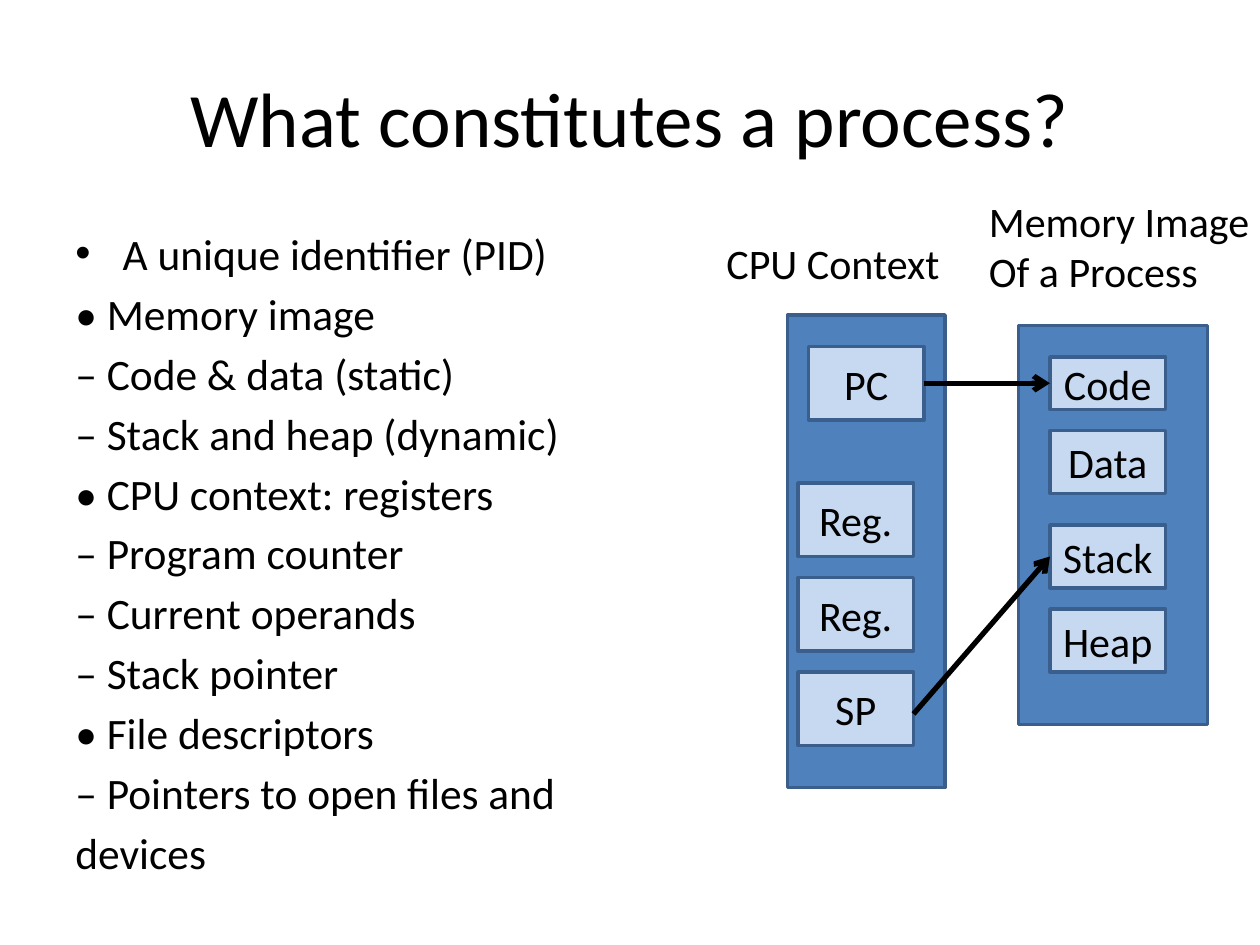
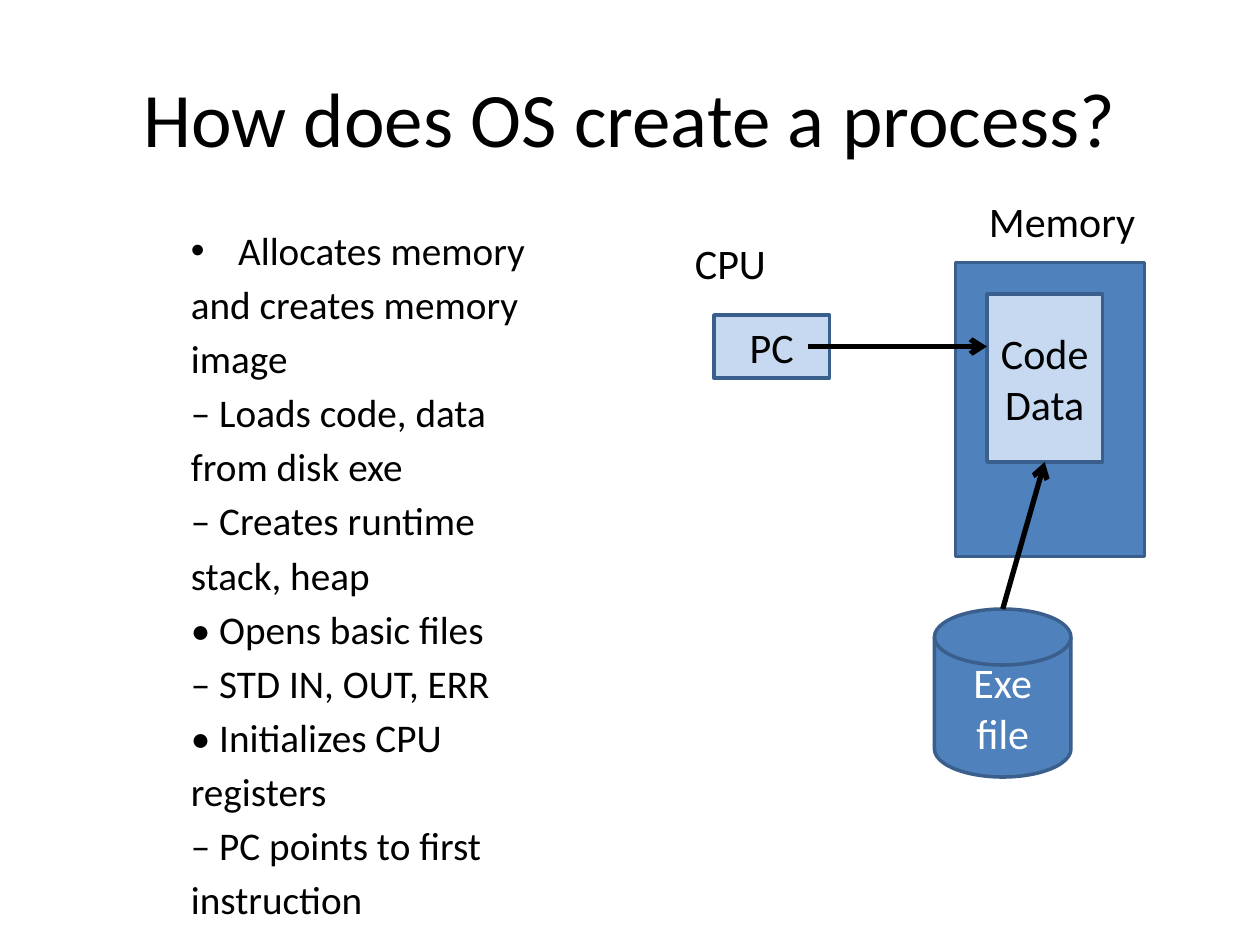
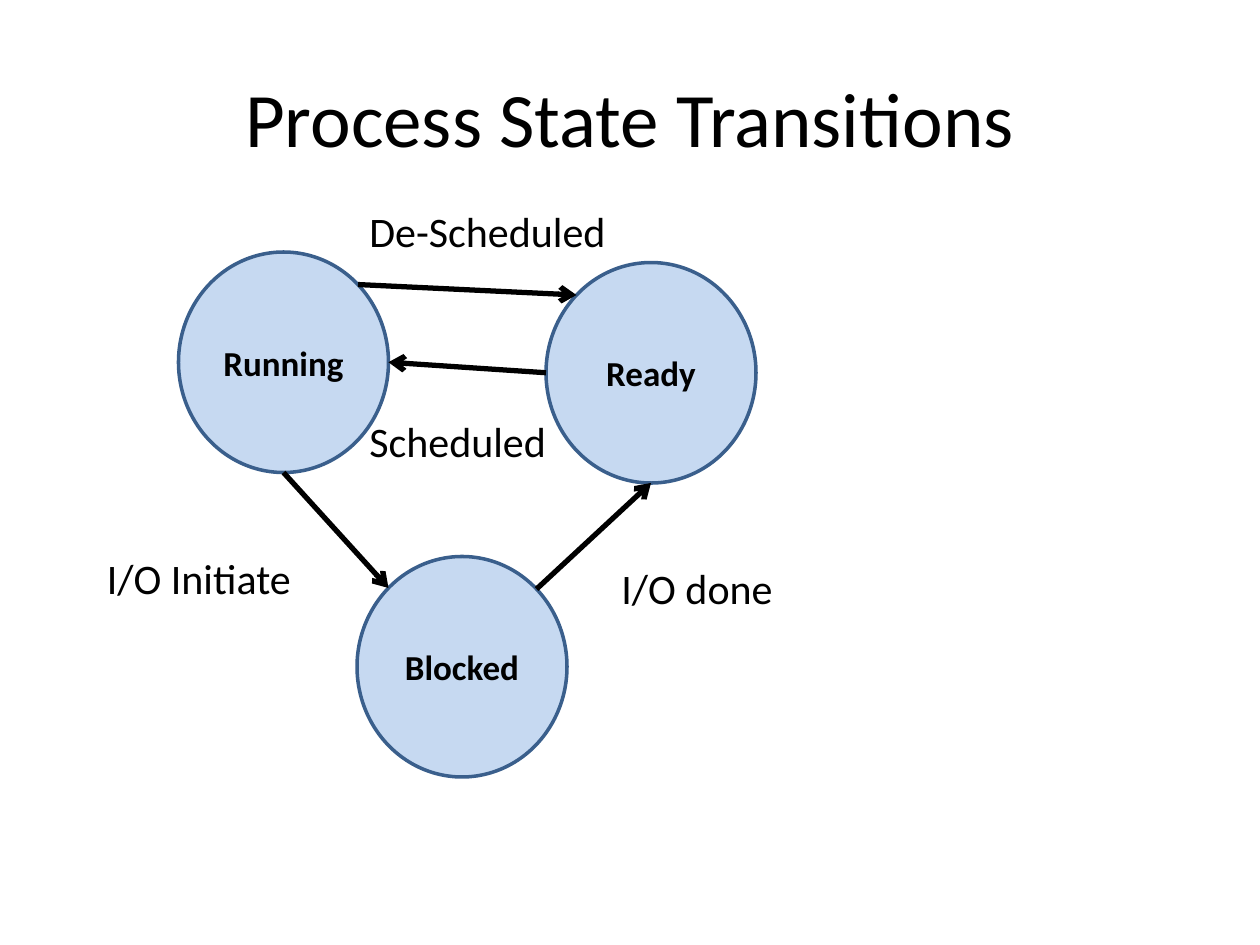
import pptx
import pptx.dml.color
import pptx.enum.shapes
import pptx.enum.text
import pptx.oxml
import pptx.oxml.ns
import pptx.util
from typing import Any, NamedTuple

RGB = pptx.dml.color.RGBColor
KIND = pptx.enum.shapes.MSO_SHAPE
ALIGN = pptx.enum.text.PP_ALIGN
ANCHOR = pptx.enum.text.MSO_ANCHOR
FIT = pptx.enum.text.MSO_AUTO_SIZE
Pt = pptx.util.Pt
qn = pptx.oxml.ns.qn

BLACK = RGB(0x00, 0x00, 0x00)
WHITE = RGB(0xFF, 0xFF, 0xFF)
BLUE = RGB(0x4F, 0x81, 0xBD)
PALE = RGB(0xC6, 0xD9, 0xF1)
EDGE = RGB(0x3A, 0x5F, 0x8C)

PX = 7620
WIDE, HIGH = 1200, 900
HANG = 45
FACE = "Calibri"

MID = {"vertical_anchor": ANCHOR.MIDDLE}
FREE = {"word_wrap": False, "auto_size": FIT.SHAPE_TO_FIT_TEXT}
WRAP = {"word_wrap": True, "auto_size": FIT.NONE}


class Area(NamedTuple):
    x: int
    y: int
    w: int
    h: int


class Box(NamedTuple):
    area: Area
    text: str = ""
    fill: RGB = PALE
    ink: RGB = BLACK
    kind: Any = KIND.RECTANGLE
    size: int = 24
    bold: bool = False


class Label(NamedTuple):
    area: Area
    text: str


class Arrow(NamedTuple):
    x: int
    y: int
    to_x: int
    to_y: int


class Body(NamedTuple):
    area: Area
    size: float
    lines: list[str]


class Page(NamedTuple):
    title: str
    items: list[Any]


HEAD = Area(60, 36, 1080, 150)


def cell(x: int, y: int, h: int, text: str) -> Box:
    return Box(Area(x, y, 110, h), text)


def state(x: int, y: int, text: str) -> Box:
    return Box(Area(x, y, 200, 210), text, kind=KIND.OVAL, size=20, bold=True)


def scale(nums: Any) -> list[int]:
    return [num * PX for num in nums]


def style(obj: Any, vals: dict[str, Any]) -> None:
    for key, val in vals.items():
        setattr(obj, key, val)


def write(frame: Any, text: str, size: float, ink: RGB = BLACK,
          bold: bool = False, align: Any = ALIGN.LEFT) -> None:
    frame.text = text
    for para in frame.paragraphs:
        para.alignment = align
        for run in para.runs:
            style(run.font, {"name": FACE, "size": Pt(size), "bold": bold})
            run.font.color.rgb = ink


def draw_box(slide: Any, box: Box) -> None:
    shape = slide.shapes.add_shape(box.kind, *scale(box.area))
    shape.shadow.inherit = False
    shape.fill.solid()
    shape.fill.fore_color.rgb = box.fill
    shape.line.color.rgb = EDGE
    shape.line.width = Pt(2)
    if box.text:
        style(shape.text_frame, MID)
        write(shape.text_frame, box.text, box.size, box.ink, box.bold, ALIGN.CENTER)


def draw_label(slide: Any, label: Label) -> None:
    frame = slide.shapes.add_textbox(*scale(label.area)).text_frame
    style(frame, FREE)
    write(frame, label.text, 24)


def draw_arrow(slide: Any, arrow: Arrow) -> None:
    line = slide.shapes.add_connector(
        pptx.enum.shapes.MSO_CONNECTOR.STRAIGHT, *scale(arrow))
    line.line.color.rgb = BLACK
    line.line.width = Pt(3)
    tail = pptx.oxml.parse_xml(f'<a:tailEnd {pptx.oxml.ns.nsdecls("a")} type="arrow"/>')
    line.line._get_or_add_ln().append(tail)
    props = line._element.spPr
    props.append(props.makeelement(qn("a:effectLst"), {}))


def draw_body(slide: Any, body: Body) -> None:
    frame = slide.shapes.add_textbox(*scale(body.area)).text_frame
    style(frame, WRAP)
    write(frame, "\n".join(body.lines), body.size)
    for para in frame.paragraphs:
        para.space_before = Pt(round(body.size * 0.18, 1))
        props = para._p.get_or_add_pPr()
        props.set("marL", str(HANG * PX))
        props.set("indent", str(-HANG * PX))
    first = frame.paragraphs[0]._p.get_or_add_pPr()
    first.append(first.makeelement(qn("a:buFont"), {"typeface": "Arial"}))
    first.append(first.makeelement(qn("a:buChar"), {"char": "•"}))


DRAW = {Box: draw_box, Label: draw_label, Arrow: draw_arrow, Body: draw_body}

PAGES = [
    Page("What constitutes a process?", [
        Body(Area(60, 210, 1080, 594), 24.8, [
            "A unique identifier (PID)",
            "• Memory image",
            "– Code & data (static)",
            "– Stack and heap (dynamic)",
            "• CPU context: registers",
            "– Program counter",
            "– Current operands",
            "– Stack pointer",
            "• File descriptors",
            "– Pointers to open files and",
            "devices",
        ]),
        Box(Area(970, 310, 180, 380), fill=BLUE),
        cell(1000, 340, 50, "Code"),
        cell(1000, 410, 60, "Data"),
        Label(Area(930, 180, 275, 109), "Memory Image\nOf a Process"),
        cell(1000, 500, 60, "Stack"),
        cell(1000, 580, 60, "Heap"),
        Box(Area(750, 300, 150, 450), fill=BLUE),
        cell(770, 330, 70, "PC"),
        *[cell(760, 460 + 90 * row, 70, name)
          for row, name in enumerate(["Reg.", "Reg.", "SP"])],
        Arrow(870, 680, 1000, 530),
        Label(Area(680, 220, 229, 60), "CPU Context"),
        Arrow(880, 365, 1000, 365),
    ]),
    Page("How does OS create a process?", [
        Body(Area(170, 210, 1030, 594), 22.4, [
            "Allocates memory",
            "and creates memory",
            "image",
            "– Loads code, data",
            "from disk exe",
            "– Creates runtime",
            "stack, heap",
            "• Opens basic files",
            "– STD IN, OUT, ERR",
            "• Initializes CPU",
            "registers",
            "– PC points to first",
            "instruction",
        ]),
        Box(Area(890, 580, 130, 160), "Exe\nfile", BLUE, WHITE,
            KIND.FLOWCHART_MAGNETIC_DISK),
        Box(Area(910, 250, 180, 280), fill=BLUE),
        Label(Area(930, 180, 174, 60), "Memory"),
        cell(940, 280, 160, "Code\nData"),
        Arrow(955, 580, 995, 440),
        Label(Area(650, 220, 92, 60), "CPU"),
        cell(680, 300, 60, "PC"),
        Arrow(770, 330, 940, 330),
    ]),
    Page("Process State Transitions", [
        state(170, 240, "Running"),
        state(520, 250, "Ready"),
        state(340, 530, "Blocked"),
        Arrow(270, 450, 370, 560),
        Arrow(511, 561, 620, 460),
        Arrow(341, 271, 549, 281),
        Arrow(520, 355, 370, 345),
        Label(Area(90, 520, 202, 60), "I/O Initiate"),
        Label(Area(340, 190, 252, 60), "De-Scheduled"),
        Label(Area(340, 390, 194, 60), "Scheduled"),
        Label(Area(580, 530, 169, 60), "I/O done"),
    ]),
]


def draw_page(deck: Any, page: Page) -> None:
    slide = deck.slides.add_slide(deck.slide_layouts[5])
    title = slide.shapes.title
    style(title, dict(zip(("left", "top", "width", "height"), scale(HEAD))))
    style(title.text_frame, MID)
    write(title.text_frame, page.title, 44, align=ALIGN.CENTER)
    for item in page.items:
        DRAW[type(item)](slide, item)


def main() -> None:
    deck = pptx.Presentation()
    style(deck, {"slide_width": WIDE * PX, "slide_height": HIGH * PX})
    for page in PAGES:
        draw_page(deck, page)
    deck.save("out.pptx")


if __name__ == "__main__":
    main()
